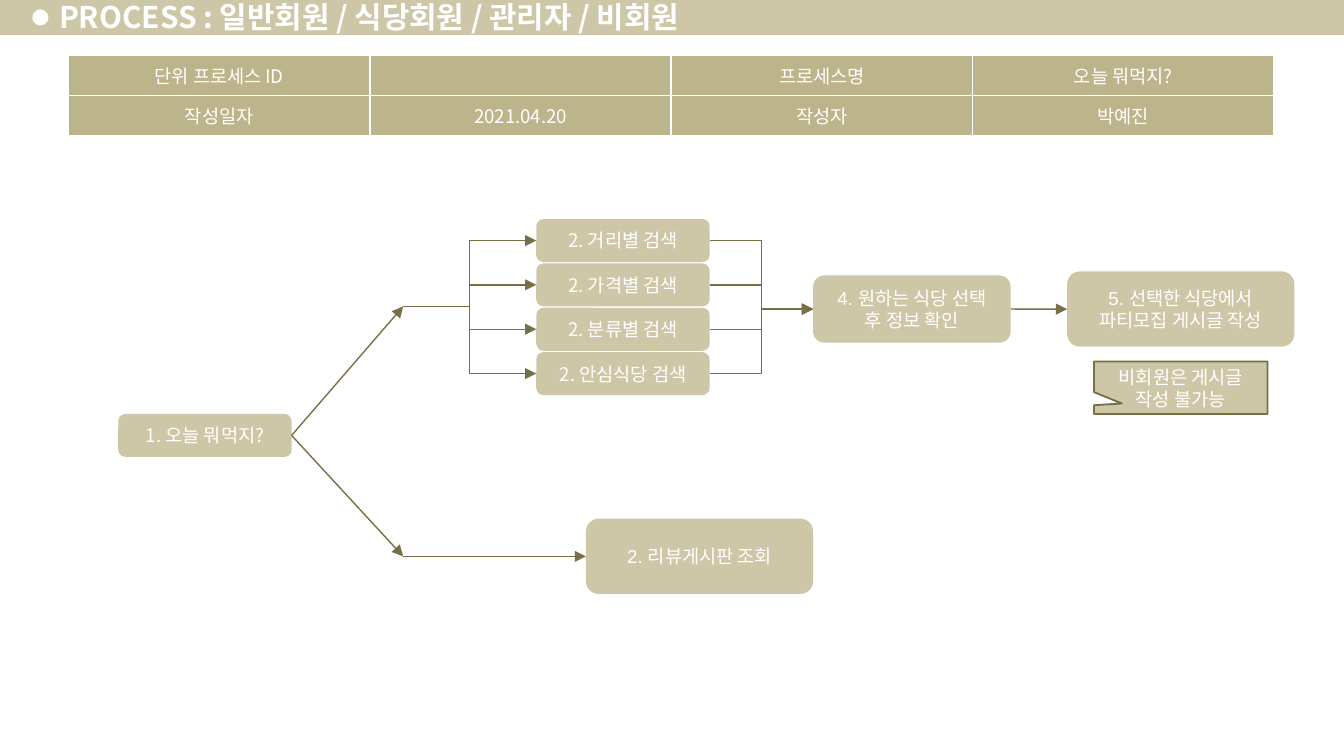
from dataclasses import dataclass
from lxml import etree
from pptx import Presentation
from pptx.dml.color import RGBColor
from pptx.enum.shapes import MSO_CONNECTOR, MSO_SHAPE
from pptx.enum.text import MSO_ANCHOR, MSO_AUTO_SIZE, PP_ALIGN
from pptx.oxml.ns import qn
from pptx.util import Inches, Pt

ROUNDED, CALLOUT = MSO_SHAPE.ROUNDED_RECTANGLE, MSO_SHAPE.RECTANGULAR_CALLOUT
RECTANGLE, OVAL = MSO_SHAPE.RECTANGLE, MSO_SHAPE.OVAL
STRAIGHT, ELBOW = MSO_CONNECTOR.STRAIGHT, MSO_CONNECTOR.ELBOW
MIDDLE, CENTER, LEFT = MSO_ANCHOR.MIDDLE, PP_ALIGN.CENTER, PP_ALIGN.LEFT
LEFT_SITE, RIGHT_SITE = 1, 3


@dataclass(frozen=True)
class Theme:
    white: RGBColor = RGBColor.from_string("FFFFFF")
    sand: RGBColor = RGBColor.from_string("CDC7A7")
    khaki: RGBColor = RGBColor.from_string("BCB48A")
    olive: RGBColor = RGBColor.from_string("776F45")
    korean: str = "Noto Sans CJK KR"
    latin: str = "Arial"
    title_size: int = 16
    body_size: int = 10


theme = Theme()


def style_paragraph(paragraph, size, font_name, alignment):
    paragraph.alignment = alignment
    paragraph.font.size = Pt(size)
    paragraph.font.name = font_name
    paragraph.font.color.rgb = theme.white
    defaults = paragraph._p.pPr.find(qn("a:defRPr"))
    etree.SubElement(defaults, qn("a:ea"), typeface=theme.korean)


def add_box(kind, left, top, width, height, text="", font_name=theme.korean, fill=theme.sand):
    shape = slide.shapes.add_shape(kind, Inches(left), Inches(top), Inches(width), Inches(height))
    shape.shadow.inherit = False
    shape.fill.solid()
    shape.fill.fore_color.rgb = fill
    shape.line.fill.background()
    if text:
        frame = shape.text_frame
        frame.word_wrap = True
        frame.vertical_anchor = MIDDLE
        frame.text = text
        style_paragraph(frame.paragraphs[0], theme.body_size, font_name, CENTER)
    return shape


presentation = Presentation()
presentation.slide_width = Inches(10)
presentation.slide_height = presentation.slide_width * 9 // 16
slide = presentation.slides.add_slide(presentation.slide_layouts[5])

add_box(RECTANGLE, 0, -0.02, 10, 0.28)
add_box(OVAL, 0.24, 0.07, 0.12, 0.12, fill=theme.white)

title = slide.shapes.title
slide.shapes._spTree.append(title._element)
title.left, title.top = Inches(0.35), Inches(-0.04)
title.width, title.height = Inches(5.7), Inches(0.32)
title_frame = title.text_frame
title_frame.text = "PROCESS : 일반회원 / 식당회원 / 관리자 / 비회원"
title_frame.auto_size = MSO_AUTO_SIZE.NONE
title_frame.vertical_anchor = MIDDLE
title_frame.margin_left = title_frame.margin_right = Inches(0.09)
title_frame.margin_top = title_frame.margin_bottom = Inches(0.04)
style_paragraph(title_frame.paragraphs[0], theme.title_size, theme.korean, LEFT)
title_frame.paragraphs[0].font.bold = True

table_rows = [
    ["단위 프로세스 ID", "", "프로세스명", "오늘 뭐먹지?"],
    ["작성일자", "2021.04.20", "작성자", "박예진"],
]
table = slide.shapes.add_table(
    2, 4, Inches(0.51), Inches(0.41), Inches(8.97), Inches(0.56)
).table
table.first_row = table.horz_banding = False
for row, values in zip(table.rows, table_rows):
    for cell, value in zip(row.cells, values):
        cell.vertical_anchor = MIDDLE
        cell.text = value
        style_paragraph(cell.text_frame.paragraphs[0], theme.body_size, theme.korean, CENTER)
        properties = cell._tc.get_or_add_tcPr()
        for side in ("lnL", "lnR", "lnT", "lnB"):
            border = etree.SubElement(properties, qn(f"a:{side}"), w=str(Pt(1)))
            border_fill = etree.SubElement(border, qn("a:solidFill"))
            etree.SubElement(border_fill, qn("a:srgbClr"), val=str(theme.white))
        cell.fill.solid()
        cell.fill.fore_color.rgb = theme.khaki

start = add_box(ROUNDED, 0.88, 3.08, 1.29, 0.32, "1. 오늘 뭐먹지?")
search_names = ["거리별", "가격별", "분류별", "안심식당"]
searches = [
    add_box(ROUNDED, 3.99, 1.63 + 0.33 * index, 1.29, 0.32, f"2. {name} 검색")
    for index, name in enumerate(search_names)
]
choice = add_box(ROUNDED, 6.05, 2.05, 1.47, 0.5, "4. 원하는 식당 선택 후 정보 확인", theme.latin)
party = add_box(
    ROUNDED, 7.94, 2.02, 1.69, 0.56, "5. 선택한 식당에서 파티모집 게시글 작성", theme.latin
)
reviews = add_box(ROUNDED, 4.36, 3.86, 1.69, 0.56, "2. 리뷰게시판 조회", theme.latin)

note = add_box(CALLOUT, 8.14, 2.69, 1.29, 0.39, "비회원은 게시글 작성 불가능")
note.adjustments[0], note.adjustments[1] = -0.34, 0.3
note.line.color.rgb = theme.olive
note.line.width = Pt(1)

search_fork, review_fork = (3, 2.28), (3, 4.14)
links = [
    (STRAIGHT, start, search_fork),
    (STRAIGHT, start, review_fork),
    (STRAIGHT, review_fork, reviews),
    (STRAIGHT, choice, party),
]
for search in searches:
    links += [(ELBOW, search_fork, search), (ELBOW, search, choice)]

for kind, source, target in links:
    ends = []
    for end, site in ((source, RIGHT_SITE), (target, LEFT_SITE)):
        if isinstance(end, tuple):
            ends += [Inches(end[0]), Inches(end[1])]
        else:
            edge = end.left + (end.width if site == RIGHT_SITE else 0)
            ends += [edge, end.top + end.height // 2]
    connector = slide.shapes.add_connector(kind, *ends)
    if not isinstance(source, tuple):
        connector.begin_connect(source, RIGHT_SITE)
    if not isinstance(target, tuple):
        connector.end_connect(target, LEFT_SITE)
    connector.line.color.rgb = theme.olive
    connector.line.width = Pt(0.75)
    etree.SubElement(connector.line._get_or_add_ln(), qn("a:tailEnd"), type="triangle")
    etree.SubElement(connector._element.spPr, qn("a:effectLst"))

presentation.save("out.pptx")
